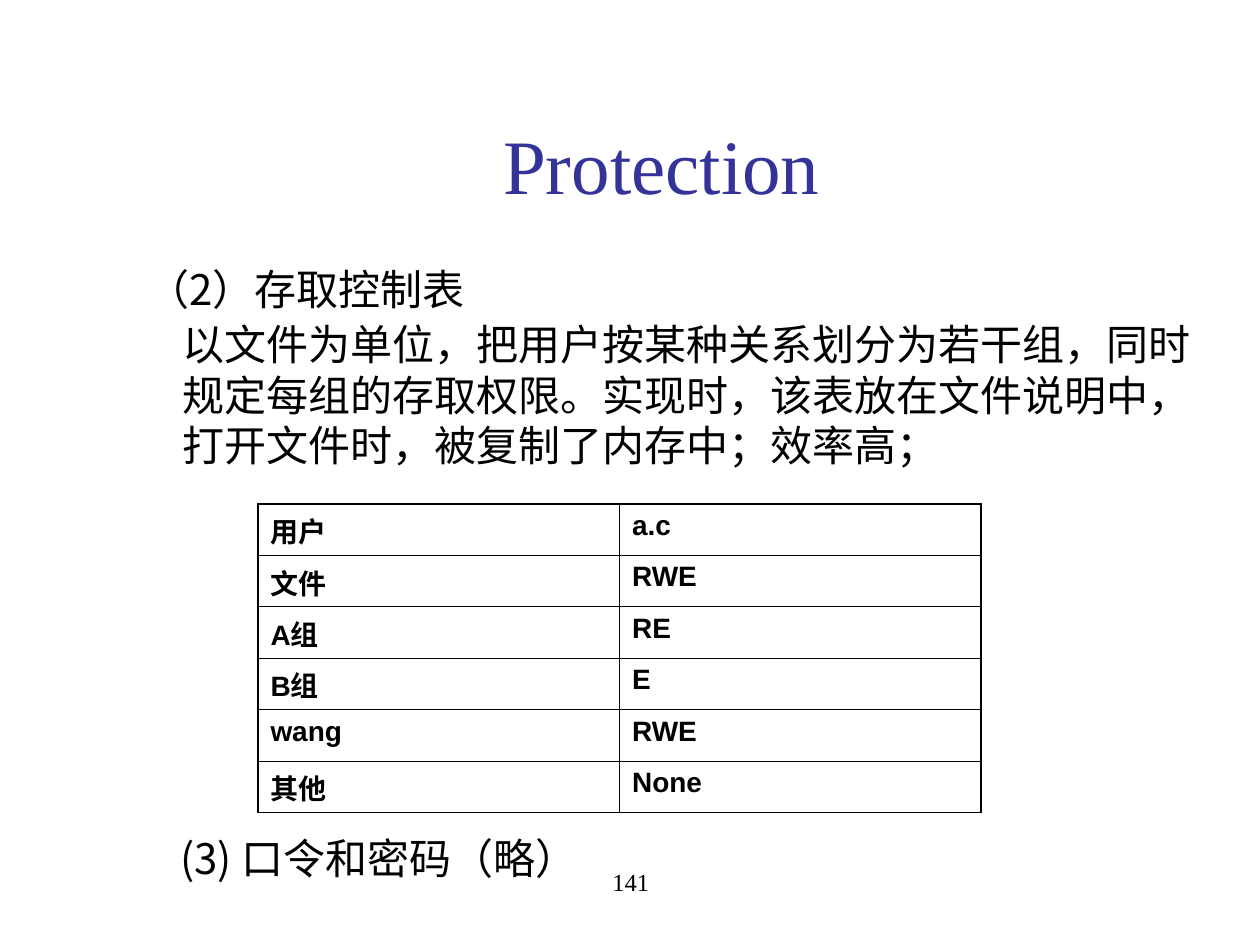
from dataclasses import dataclass

from lxml import etree
from pptx import Presentation
from pptx import util as u
from pptx.dml import color as c
from pptx.enum import text as t
from pptx.oxml import ns


@dataclass(frozen=True)
class Theme:
    ink: str = "000000"
    accent: str = "333399"
    serif: str = "Times New Roman"
    sans: str = "Arial"
    cjk: str = "Noto Sans CJK SC"
    title: int = 44
    body: int = 24
    cell: int = 16
    number: int = 14
    leading: float = 28.8
    outer: float = 1.08
    inner: float = 0.45


THEME = Theme()
TITLE = {"name": THEME.serif, "size": u.Pt(THEME.title), "bold": False}
BODY = {"name": THEME.cjk, "size": u.Pt(THEME.body)}
CELL = {"name": THEME.sans, "size": u.Pt(THEME.cell), "bold": True}
NUMBER = {"name": THEME.serif, "size": u.Pt(THEME.number)}

ACCESS = [
    ("用户", "a.c"),
    ("文件", "RWE"),
    ("A组", "RE"),
    ("B组", "E"),
    ("wang", "RWE"),
    ("其他", "None"),
]


def set_attrs(obj, values):
    for name, value in values.items():
        setattr(obj, name, value)


def write(tf, words, font, para=None, color=THEME.ink):
    p = tf.paragraphs[0]
    set_attrs(p, para or {})
    r = p.add_run()
    r.text = words
    set_attrs(r.font, font)
    r.font.color.rgb = c.RGBColor.from_string(color)
    ea = etree.SubElement(r.font._element, ns.qn("a:ea"))
    ea.set("typeface", THEME.cjk)


def add_title(s, box, words):
    sp = s.shapes.title
    set_attrs(sp, dict(zip(("left", "top", "width", "height"), box)))
    sp.text_frame.vertical_anchor = t.MSO_ANCHOR.MIDDLE
    write(sp.text_frame, words, TITLE, {"alignment": t.PP_ALIGN.CENTER}, THEME.accent)


def add_text(s, box, words, font, para, **frame):
    tf = s.shapes.add_textbox(*box).text_frame
    set_attrs(tf, {"word_wrap": True, **frame})
    write(tf, words, font, para)


def add_border(cell, side, width):
    tc_pr = cell._tc.get_or_add_tcPr()
    ln = etree.SubElement(tc_pr, ns.qn(f"a:ln{side}"), w=str(u.Pt(width)))
    fill = etree.SubElement(ln, ns.qn("a:solidFill"))
    etree.SubElement(fill, ns.qn("a:srgbClr"), val=THEME.ink)


def add_access_table(s, box, rows):
    n_rows, n_cols = len(rows), len(rows[0])
    table = s.shapes.add_table(n_rows, n_cols, *box).table
    set_attrs(table, {"first_row": False, "horz_banding": False})
    for i, row in enumerate(rows):
        for j, words in enumerate(row):
            cell = table.cell(i, j)
            edges = {"L": j == 0, "R": j == n_cols - 1, "T": i == 0, "B": i == n_rows - 1}
            for side, is_outer in edges.items():
                add_border(cell, side, THEME.outer if is_outer else THEME.inner)
            cell.fill.background()
            write(cell.text_frame, words, CELL)


def add_access_slide(prs, box):
    left, top, width, height = box
    s = prs.slides.add_slide(prs.slide_layouts[5])

    def place(x, y, w, h):
        return left + u.Cm(x), top + u.Cm(y), u.Cm(w), u.Cm(h)

    para = {"line_spacing": u.Pt(THEME.leading)}
    add_title(s, place(2.54, 1.7, 21.59, 3.18), "Protection")
    add_text(s, place(2.72, 4.88, 21.59, 1.9), "（2）存取控制表", BODY, para,
             vertical_anchor=t.MSO_ANCHOR.MIDDLE)
    add_text(s, place(3.43, 6.3, 20.88, 3.3),
             "以文件为单位，把用户按某种关系划分为若干组，同时规定每组的存取权限。"
             "实现时，该表放在文件说明中，打开文件时，被复制了内存中；效率高；",
             BODY, para)
    add_access_table(s, place(5.2, 10.16, 14.58, 6.22), ACCESS)
    add_text(s, place(3.38, 16.66, 9.17, 1.27), "(3) 口令和密码（略）", BODY, para,
             word_wrap=False)
    add_text(s, place(8.69, 17.35, 8.05, 1.27), "141", NUMBER,
             {"alignment": t.PP_ALIGN.CENTER})


def main():
    prs = Presentation()
    set_attrs(prs, {"slide_width": u.Cm(25.4), "slide_height": u.Cm(19.05)})
    add_access_slide(prs, (0, 0, prs.slide_width, prs.slide_height))
    prs.save("out.pptx")


if __name__ == "__main__":
    main()
